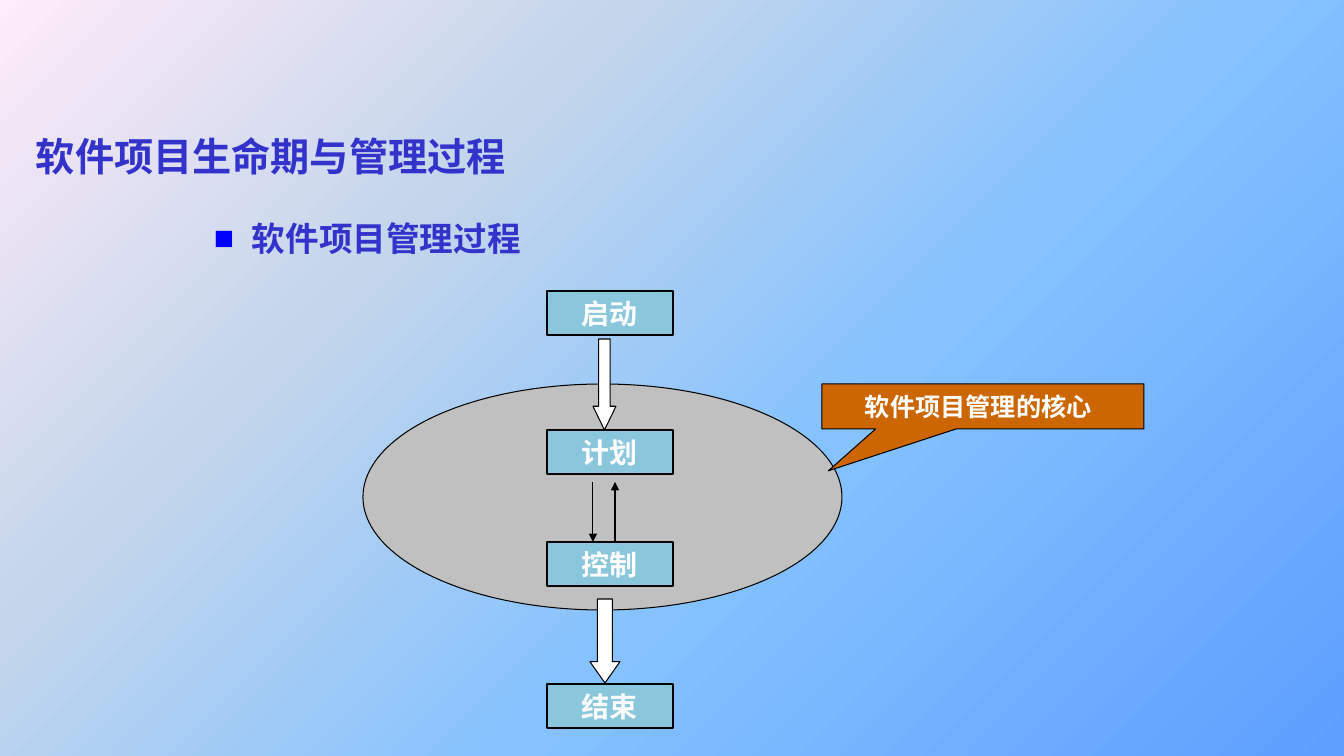
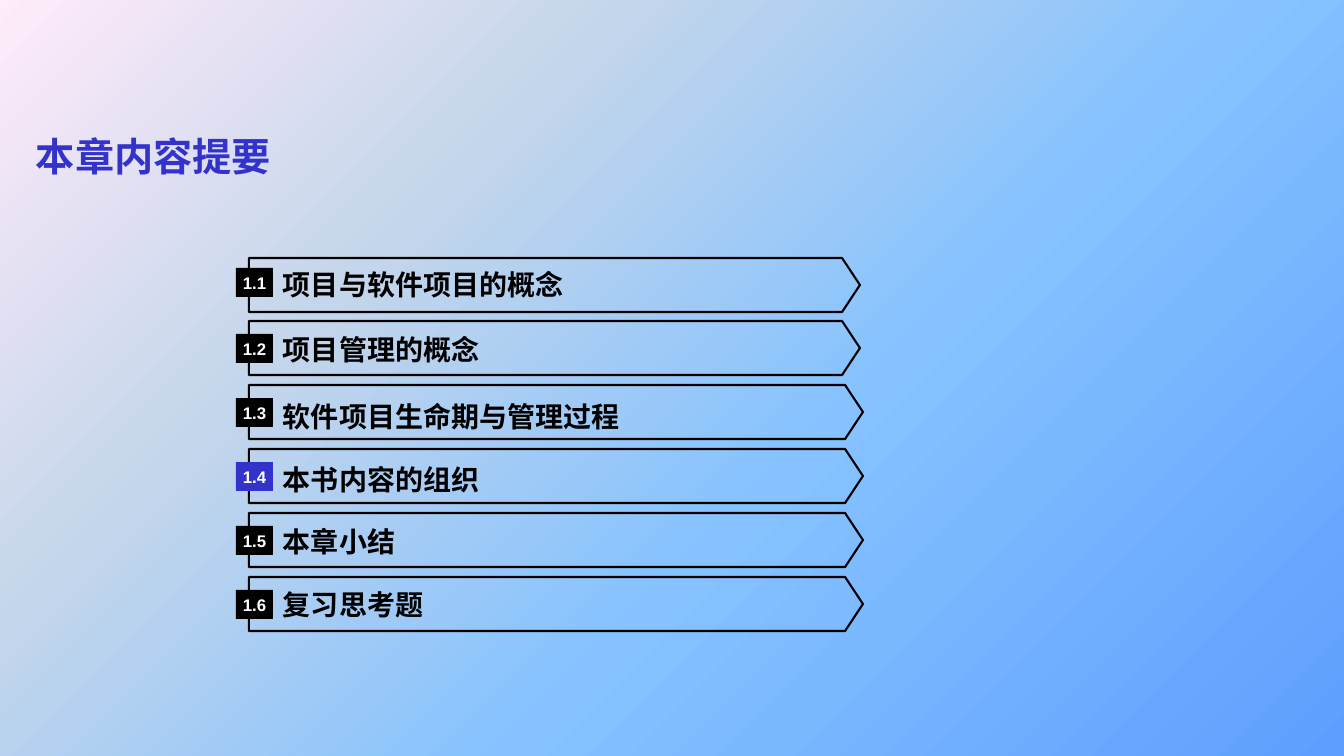
from lxml.etree import SubElement as Sub
from pptx import Presentation
from pptx.dml.color import RGBColor as RGB
from pptx.enum.shapes import MSO_CONNECTOR as Con, MSO_SHAPE as Form
from pptx.enum.text import MSO_ANCHOR as Anchor, PP_ALIGN as Align
from pptx.oxml.ns import qn
from pptx.util import Pt

# Shared colours and scale
BLUE, BRIGHT = RGB(0x33, 0x33, 0xCC), RGB(0, 0, 0xFF)
BLACK, WHITE = RGB(0, 0, 0), RGB(0xFF, 0xFF, 0xFF)
GRAY, TEAL = RGB(0xC0, 0xC0, 0xC0), RGB(0x8A, 0xC7, 0xDC)
RUST = RGB(0xCC, 0x66, 0)
FADE = [(0, "5E9EFF"), (40, "85C2FF"), (70, "C4D6EB"), (100, "FFEBFA")]
PIXEL = 914400 / 100.8

# Slide 1 content: steps as (text, top)
CYCLE = "软件项目生命期与管理过程"
TOPIC = "软件项目管理过程"
CORE = "软件项目管理的核心"
STEPS = [("启动", 291), ("计划", 430), ("控制", 542), ("结束", 684)]
ARROWS = [((593, 339, 23, 91), 1.03), ((590, 599, 30, 84), 0.71)]
LINKS = [(593, 482, 542), (615, 542, 482)]

# Slide 2 content: (number, text, bar width, tag drop, text drop)
AGENDA = "本章内容提要"
ITEMS = [
    ("1.1", "项目与软件项目的概念", 611, 10, 6),
    ("1.2", "项目管理的概念", 611, 13, 8),
    ("1.3", CYCLE, 614, 13, 11),
    ("1.4", "本书内容的组织", 614, 13, 10),
    ("1.5", "本章小结", 614, 13, 8),
    ("1.6", "复习思考题", 614, 13, 7),
]
ACTIVE = "1.4"
FIRST, LAST = 258, 577

# Text formats
HEAD = dict(size=Pt(28), name="Arial", bold=True)
LEAD = dict(size=Pt(24), name="Arial", bold=True)
STEP = dict(size=Pt(20), name="Arial Narrow", bold=True)
NOTE = dict(size=Pt(18), name="Times New Roman", bold=True)
ITEM = dict(size=Pt(20), name="Times New Roman", bold=True)
TAG = dict(size=Pt(12), name="Arial", bold=True)


def px(n):
    return round(n * PIXEL)


def place(shape, box):
    for key, val in zip(("left", "top", "width", "height"), box):
        setattr(shape, key, px(val))


def write(shape, text, look, color, align=Align.CENTER,
          anchor=Anchor.MIDDLE, pad=(0, 0)):
    frame = shape.text_frame
    frame.word_wrap = True
    frame.vertical_anchor = anchor
    frame.margin_left = frame.margin_right = px(pad[0])
    frame.margin_top = frame.margin_bottom = px(pad[1])
    par = frame.paragraphs[0]
    par.alignment = align
    run = par.add_run()
    run.text = text
    for key, val in look.items():
        setattr(run.font, key, val)
    run.font.color.rgb = color
    return par


def draw(slide, form, box, fill=None, width=0.75, adjust=()):
    shape = slide.shapes.add_shape(form, *map(px, box))
    shape.shadow.inherit = False
    if fill is None:
        shape.fill.background()
    else:
        shape.fill.solid()
        shape.fill.fore_color.rgb = fill
    if width:
        shape.line.color.rgb = BLACK
        shape.line.width = Pt(width)
    else:
        shape.line.fill.background()
    for i, val in enumerate(adjust):
        shape.adjustments[i] = val
    return shape


def link(slide, x, start, end):
    line = slide.shapes.add_connector(
        Con.STRAIGHT, px(x), px(start), px(x), px(end))
    line.line.color.rgb = BLACK
    line.line.width = Pt(0.75)
    props = line._element.spPr
    Sub(props.find(qn("a:ln")), qn("a:tailEnd"), type="triangle")
    Sub(props, qn("a:effectLst"))


def bullet(par, mark, color, gap):
    props = par._p.get_or_add_pPr()
    props.set("marL", str(px(gap)))
    props.set("indent", str(-px(gap)))
    Sub(Sub(props, qn("a:buClr")), qn("a:srgbClr"), val=str(color))
    Sub(props, qn("a:buFont"), typeface="Arial")
    Sub(props, qn("a:buChar"), char=mark)


def start(deck, layout, title):
    slide = deck.slides.add_slide(deck.slide_layouts[layout])
    place(slide.shapes.title, (26, 116, 1291, 80))
    write(slide.shapes.title, title, HEAD, BLUE, Align.LEFT, pad=(10, 5))
    return slide


deck = Presentation()
deck.slide_width, deck.slide_height = px(1344), px(756)

# Shared gradient background
master = deck.slide_master
back = master.background.fill
back.gradient()
back.gradient_angle = 135
stops = master.element.xpath(".//p:bg//a:gsLst")[0]
for old in list(stops):
    stops.remove(old)
for spot, tone in FADE:
    stop = Sub(stops, qn("a:gs"), pos=str(spot * 1000))
    Sub(stop, qn("a:srgbClr"), val=tone)

# Slide 1: management process
slide = start(deck, 1, CYCLE)
body = slide.placeholders[1]
place(body, (204, 213, 953, 543))
lead = write(body, TOPIC, LEAD, BLUE, Align.LEFT, Anchor.TOP, (10, 5))
bullet(lead, "■", BRIGHT, 38)

draw(slide, Form.OVAL, (363, 384, 479, 226), GRAY)
for box, tip in ARROWS:
    draw(slide, Form.DOWN_ARROW, box, WHITE, adjust=(0.5, tip))
note = draw(slide, Form.RECTANGULAR_CALLOUT, (822, 384, 322, 45), RUST,
            adjust=(-0.48, 1.43))
write(note, CORE, NOTE, WHITE, Align.LEFT, pad=(43, 0))
for x, y, end in LINKS:
    link(slide, x, y, end)
for text, top in STEPS:
    step = draw(slide, Form.RECTANGLE, (547, top, 126, 44), TEAL, 2)
    write(step, text, STEP, WHITE)

# Slide 2: chapter agenda
slide = start(deck, 5, AGENDA)
for i, (num, text, wide, drop, fall) in enumerate(ITEMS):
    top = FIRST + (LAST - FIRST) * i // (len(ITEMS) - 1)
    draw(slide, Form.PENTAGON, (249, top, wide, 54), None, 1.5, (0.33,))
    label = slide.shapes.add_textbox(*map(px, (283, top + fall, 537, 40)))
    write(label, text, ITEM, BLACK, Align.LEFT)
    tag = draw(slide, Form.RECTANGLE, (236, top + drop, 37, 29),
               BLUE if num == ACTIVE else BLACK, 0)
    write(tag, num, TAG, WHITE)

deck.save("out.pptx")
